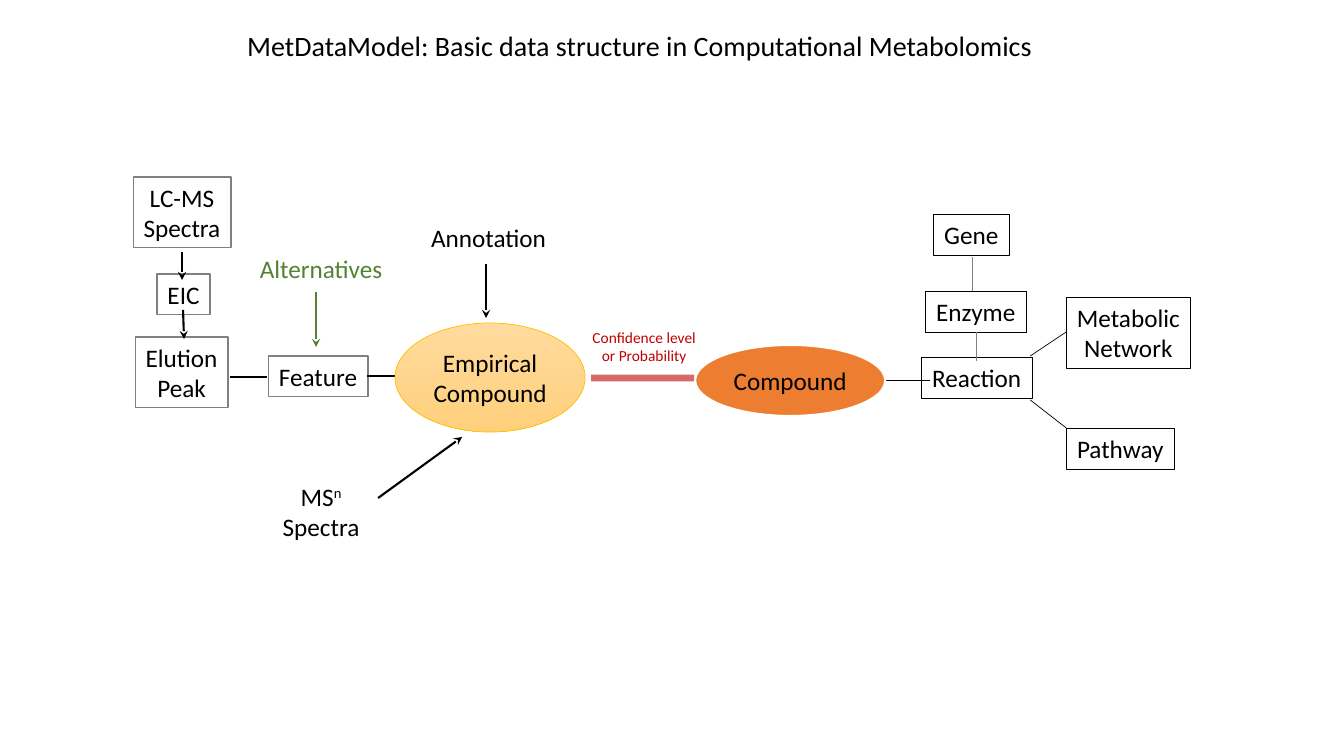
from pptx import Presentation
from pptx.dml.color import RGBColor
from pptx.enum.shapes import MSO_CONNECTOR, MSO_SHAPE
from pptx.enum.text import MSO_ANCHOR, MSO_AUTO_SIZE, PP_ALIGN
from pptx.oxml.ns import qn
from pptx.util import Emu, Inches, Pt
from lxml.etree import SubElement

BLACK = RGBColor(0x00, 0x00, 0x00)
GRAY = RGBColor(0x80, 0x80, 0x80)
WHITE = RGBColor(0xFF, 0xFF, 0xFF)
GREEN = RGBColor(0x54, 0x82, 0x35)
RED = RGBColor(0xC0, 0x00, 0x00)
ORANGE = RGBColor(0xED, 0x7D, 0x31)
GOLD = RGBColor(0xFF, 0xC0, 0x00)
PALE_GOLD = RGBColor(0xFF, 0xDB, 0x9E)
WARM_GOLD = RGBColor(0xFF, 0xD0, 0x7C)
PIXELS_PER_INCH = 100.8


def px(pixels):
    return Emu(round(pixels * 914400 / PIXELS_PER_INCH))


def put_text(shape, text, size=18, color=BLACK, align=PP_ALIGN.CENTER,
             anchor=MSO_ANCHOR.TOP, wrap=False):
    """Write lines split by newlines; what follows ^ in a line is superscript."""
    frame = shape.text_frame
    frame.word_wrap = wrap
    frame.auto_size = MSO_AUTO_SIZE.NONE
    frame.vertical_anchor = anchor
    for index, line in enumerate(text.split("\n")):
        paragraph = frame.add_paragraph() if index else frame.paragraphs[0]
        paragraph.alignment = align
        base, _, superscript = line.partition("^")
        for part in filter(None, (base, superscript)):
            run = paragraph.add_run()
            run.text = part
            run.font.name = "Calibri"
            run.font.size = Pt(size)
            run.font.color.rgb = color
        if superscript:
            run.font._element.set("baseline", "30000")


def add_label(slide, origin, box, text, **text_format):
    left, top, width, height = box
    shape = slide.shapes.add_textbox(
        px(origin[0] + left), px(origin[1] + top), px(width), px(height))
    put_text(shape, text, **text_format)


def add_node(slide, origin, box, text, line_color, line_width,
             preset=MSO_SHAPE.RECTANGLE, **text_format):
    left, top, width, height = box
    shape = slide.shapes.add_shape(
        preset, px(origin[0] + left), px(origin[1] + top), px(width), px(height))
    shape.shadow.inherit = False
    shape.fill.background()
    shape.line.color.rgb = line_color
    shape.line.width = Pt(line_width)
    put_text(shape, text, **text_format)
    return shape


def add_link(slide, origin, points, color=BLACK, width=1.5, arrow=False, opacity=None):
    x1, y1, x2, y2 = points
    link = slide.shapes.add_connector(
        MSO_CONNECTOR.STRAIGHT, px(origin[0] + x1), px(origin[1] + y1),
        px(origin[0] + x2), px(origin[1] + y2))
    link.line.color.rgb = color
    link.line.width = Pt(width)
    properties = link._element.spPr
    outline = properties.find(qn("a:ln"))
    if opacity is not None:
        fill_color = outline.find(".//" + qn("a:srgbClr"))
        SubElement(fill_color, qn("a:alpha")).set("val", str(opacity * 1000))
    if arrow:
        SubElement(outline, qn("a:tailEnd")).set("type", "stealth")
    SubElement(properties, qn("a:effectLst"))


def add_title(slide, box):
    title = slide.shapes.title
    title.left, title.top, title.width, title.height = map(px, box)
    put_text(title, "MetDataModel: Basic data structure in Computational Metabolomics",
             size=20, align=PP_ALIGN.LEFT)


def add_measurement(slide, origin):
    # From spectra to feature
    for box, text in (((0, 0, 98, 71), "LC-MS\nSpectra"),
                      ((24, 97, 53, 41), "EIC"),
                      ((2, 160, 93, 71), "Elution\nPeak"),
                      ((135, 179, 100, 41), "Feature")):
        add_node(slide, origin, box, text, GRAY, 0.75)
    for points in ((49, 75, 49, 103), (50, 133, 51, 162)):
        add_link(slide, origin, points, arrow=True)
    for points in ((97, 200, 134, 200), (234, 199, 281, 199)):
        add_link(slide, origin, points)
    # Alternatives to the feature
    add_label(slide, origin, (116, 71, 144, 41), "Alternatives", color=GREEN)
    add_link(slide, origin, (183, 115, 183, 170), color=GREEN, arrow=True)


def add_knowledge(slide, origin):
    # Reaction and its neighbours
    for box, text in (((50, 0, 76, 41), "Gene"),
                      ((42, 77, 101, 41), "Enzyme"),
                      ((38, 143, 111, 41), "Reaction"),
                      ((183, 83, 124, 71), "Metabolic\nNetwork"),
                      ((183, 214, 108, 41), "Pathway")):
        add_node(slide, origin, box, text, BLACK, 0.5)
    for points, color in (((0, 166, 47, 166), BLACK),
                          ((147, 142, 183, 118), BLACK),
                          ((147, 186, 183, 214), BLACK),
                          ((89, 77, 89, 43), GRAY),
                          ((93, 147, 93, 118), GRAY)):
        add_link(slide, origin, points, color=color, width=0.5)


def add_compounds(slide, origin):
    # Confidence link, behind the ellipses
    add_link(slide, origin, (319, 161, 422, 161), color=RED, width=5, opacity=58)
    add_label(slide, origin, (308, 106, 128, 47), "Confidence level\nor Probability",
              size=11, color=RED)
    # Compound ellipses
    ellipse_format = dict(preset=MSO_SHAPE.OVAL, anchor=MSO_ANCHOR.MIDDLE, wrap=True)
    empirical = add_node(slide, origin, (123, 106, 190, 109), "Empirical\nCompound",
                         GOLD, 0.5, **ellipse_format)
    empirical.fill.gradient()
    empirical.fill.gradient_angle = 270
    for stop, color, position in zip(empirical.fill.gradient_stops,
                                     (PALE_GOLD, WARM_GOLD), (0, 1)):
        stop.color.rgb = color
        stop.position = position
    compound = add_node(slide, origin, (423, 128, 190, 71), "Compound",
                        WHITE, 1.5, **ellipse_format)
    compound.fill.solid()
    compound.fill.fore_color.rgb = ORANGE
    # Evidence for the empirical compound
    add_label(slide, origin, (148, 0, 137, 41), "Annotation")
    add_label(slide, origin, (0, 259, 98, 71), "MS^n\nSpectra")
    for points in ((214, 47, 214, 101), (106, 281, 190, 220)):
        add_link(slide, origin, points, arrow=True)


presentation = Presentation()
presentation.slide_width = Inches(13.33)
presentation.slide_height = Inches(7.5)
slide = presentation.slides.add_slide(presentation.slide_layouts[5])
add_title(slide, (237, 23, 813, 44))
add_measurement(slide, (133, 177))
add_knowledge(slide, (883, 214))
add_compounds(slide, (272, 217))
presentation.save("out.pptx")
